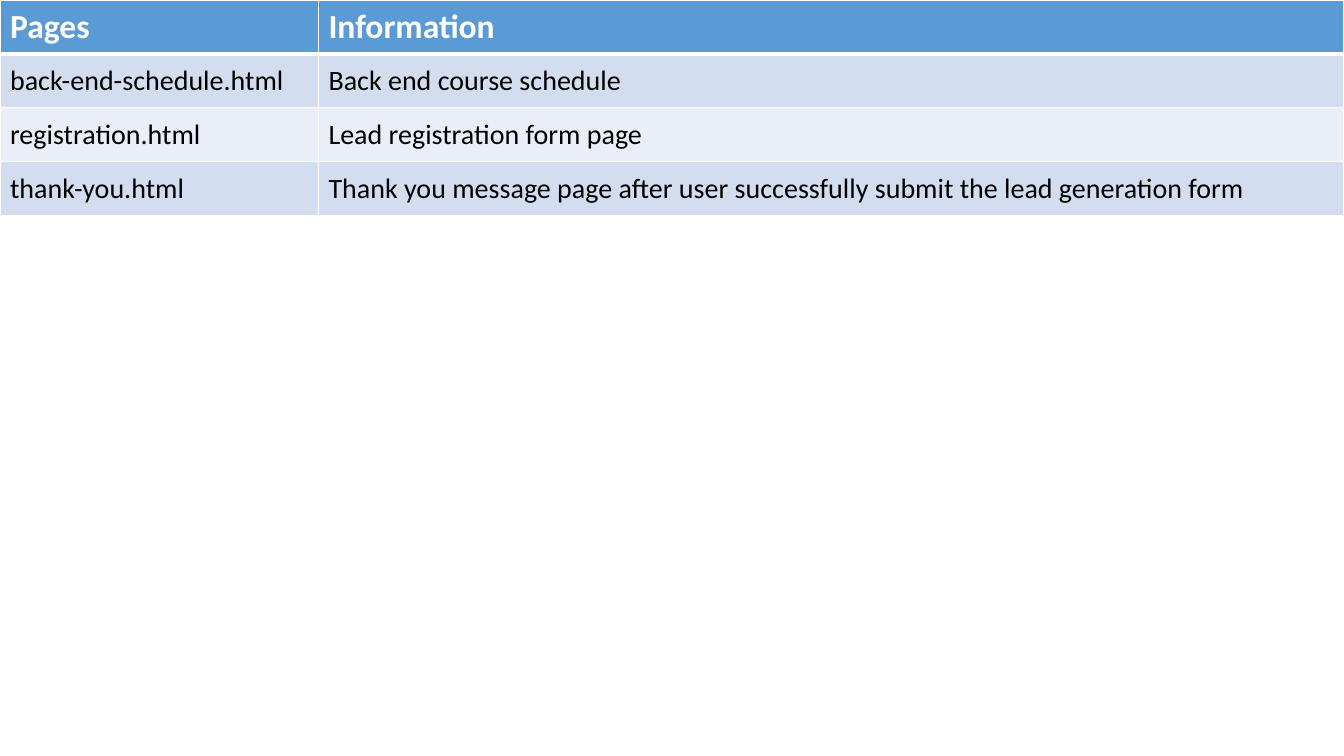
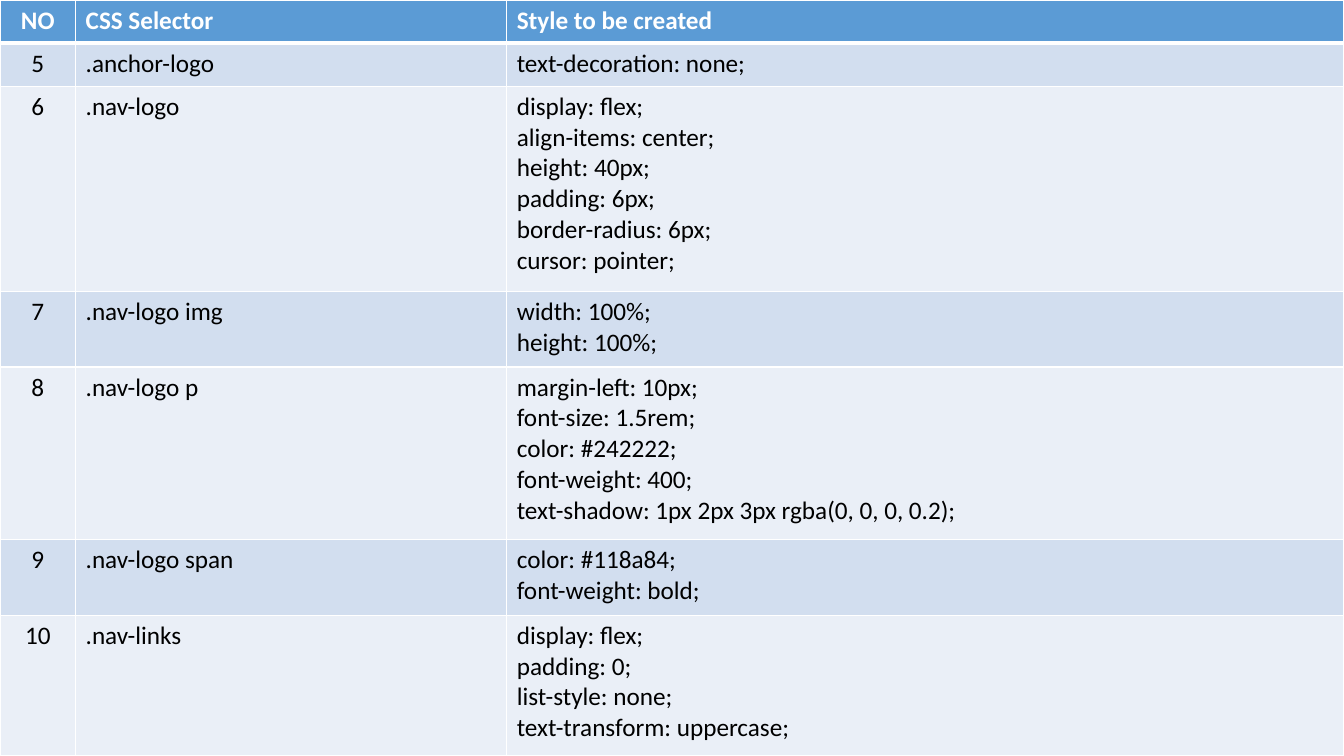
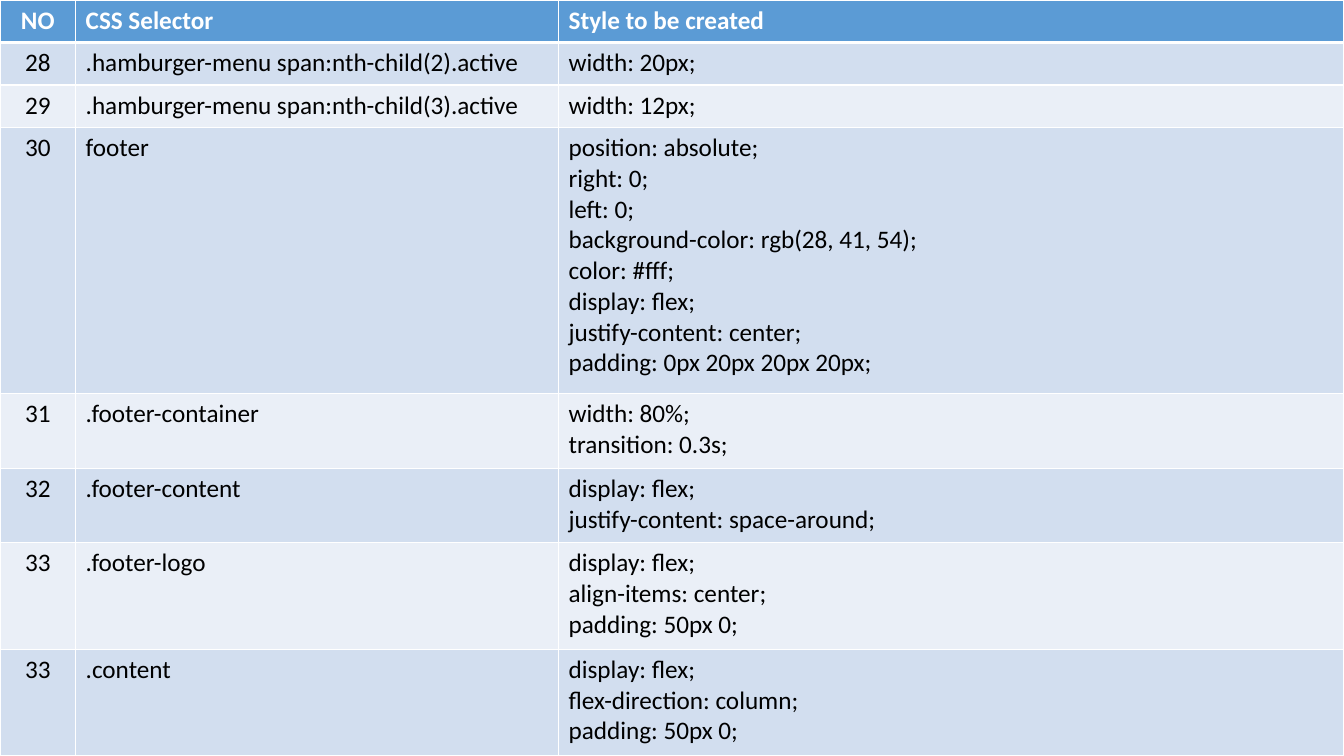
from lxml.etree import SubElement
from pptx import Presentation
from pptx.dml.color import RGBColor
from pptx.enum.text import MSO_ANCHOR, PP_ALIGN
from pptx.oxml.ns import qn
from pptx.util import Pt

WIDTH, HEIGHT = 960, 540
FONT = "Calibri"
WHITE = RGBColor(0xFF, 0xFF, 0xFF)
BLACK = RGBColor(0x00, 0x00, 0x00)
HEADER = RGBColor(0x5B, 0x9B, 0xD5)
BANDS = [RGBColor(0xEA, 0xEF, 0xF7), RGBColor(0xD2, 0xDE, 0xEF)]
ROW_PADDING = 0.33

PAGES = [
    ("Pages", "Information"),
    ("back-end-schedule.html", "Back end course schedule"),
    ("registration.html", "Lead registration form page"),
    ("thank-you.html",
     "Thank you message page after user successfully submit the lead generation form"),
]

STYLE_HEADER = ("NO", "CSS Selector", "Style to be created")

NAV_STYLES = [
    ("5", ".anchor-logo", "text-decoration: none;"),
    ("6", ".nav-logo",
     "display: flex;\nalign-items: center;\nheight: 40px;\npadding: 6px;\n"
     "border-radius: 6px;\ncursor: pointer;"),
    ("7", ".nav-logo img", "width: 100%;\nheight: 100%;"),
    ("8", ".nav-logo p",
     "margin-left: 10px;\nfont-size: 1.5rem;\ncolor: #242222;\nfont-weight: 400;\n"
     "text-shadow: 1px 2px 3px rgba(0, 0, 0, 0.2);"),
    ("9", ".nav-logo span", "color: #118a84;\nfont-weight: bold;"),
    ("10", ".nav-links",
     "display: flex;\npadding: 0;\nlist-style: none;\ntext-transform: uppercase;"),
]

FOOTER_STYLES = [
    ("28", ".hamburger-menu span:nth-child(2).active", "width: 20px;"),
    ("29", ".hamburger-menu span:nth-child(3).active", "width: 12px;"),
    ("30", "footer",
     "position: absolute;\nright: 0;\nleft: 0;\nbackground-color: rgb(28, 41, 54);\n"
     "color: #fff;\ndisplay: flex;\njustify-content: center;\n"
     "padding: 0px 20px 20px 20px;"),
    ("31", ".footer-container", "width: 80%;\ntransition: 0.3s;"),
    ("32", ".footer-content", "display: flex;\njustify-content: space-around;"),
    ("33", ".footer-logo", "display: flex;\nalign-items: center;\npadding: 50px 0;"),
    ("33", ".content", "display: flex;\nflex-direction: column;\npadding: 50px 0;"),
]


def write_text(tf, text, size=18, color=BLACK, bold=False, align=PP_ALIGN.LEFT):
    for i, line in enumerate(text.split("\n")):
        p = tf.paragraphs[0] if i == 0 else tf.add_paragraph()
        p.alignment = align
        r = p.add_run()
        r.text = line
        r.font.name = FONT
        r.font.size = Pt(size)
        r.font.bold = bold
        r.font.color.rgb = color


def set_borders(cell, top=1, bottom=1):
    tc_pr = cell._tc.get_or_add_tcPr()
    for tag, width in (("lnL", 1), ("lnR", 1), ("lnT", top), ("lnB", bottom)):
        ln = SubElement(tc_pr, qn(f"a:{tag}"), w=str(Pt(width)))
        fill = SubElement(ln, qn("a:solidFill"))
        SubElement(fill, qn("a:srgbClr"), val=str(WHITE))


def add_grid(s, box, rows, col_widths, size=18, header_size=18,
             anchor=MSO_ANCHOR.TOP, centered=()):
    left, top, width, height = box
    table = s.shapes.add_table(len(rows), len(col_widths), Pt(left), Pt(top),
                               Pt(width), Pt(height)).table
    table.horz_banding = False
    for column, col_width in zip(table.columns, col_widths):
        column.width = Pt(col_width)
    weights = [max(text.count("\n") + 1 for text in row) + ROW_PADDING for row in rows]
    for i, (row, weight) in enumerate(zip(rows, weights)):
        table.rows[i].height = Pt(height * weight / sum(weights))
        is_header = i == 0
        for j, text in enumerate(row):
            cell = table.cell(i, j)
            set_borders(cell, top=3 if i == 1 else 1, bottom=3 if is_header else 1)
            cell.fill.solid()
            cell.fill.fore_color.rgb = HEADER if is_header else BANDS[i % 2]
            cell.vertical_anchor = anchor
            write_text(cell.text_frame, text,
                       size=header_size if is_header else size,
                       color=WHITE if is_header else BLACK, bold=is_header,
                       align=PP_ALIGN.CENTER if j in centered else PP_ALIGN.LEFT)


def add_pages_slide(s, box):
    add_grid(s, box, PAGES, (227.5, 732.5), size=20, header_size=24,
             anchor=MSO_ANCHOR.MIDDLE)


def add_styles_slide(s, box, styles, selector_width):
    number_width = 54
    widths = (number_width, selector_width, box[2] - number_width - selector_width)
    add_grid(s, box, [STYLE_HEADER] + styles, widths, centered=(0,))


def main():
    prs = Presentation()
    prs.slide_width, prs.slide_height = Pt(WIDTH), Pt(HEIGHT)
    blank = prs.slide_layouts[6]
    add_pages_slide(prs.slides.add_slide(blank), (0, 0, WIDTH, 154))
    for styles, selector_width in ((NAV_STYLES, 308), (FOOTER_STYLES, 345)):
        add_styles_slide(prs.slides.add_slide(blank), (0, 0, WIDTH, HEIGHT),
                         styles, selector_width)
    prs.save("out.pptx")


if __name__ == "__main__":
    main()
